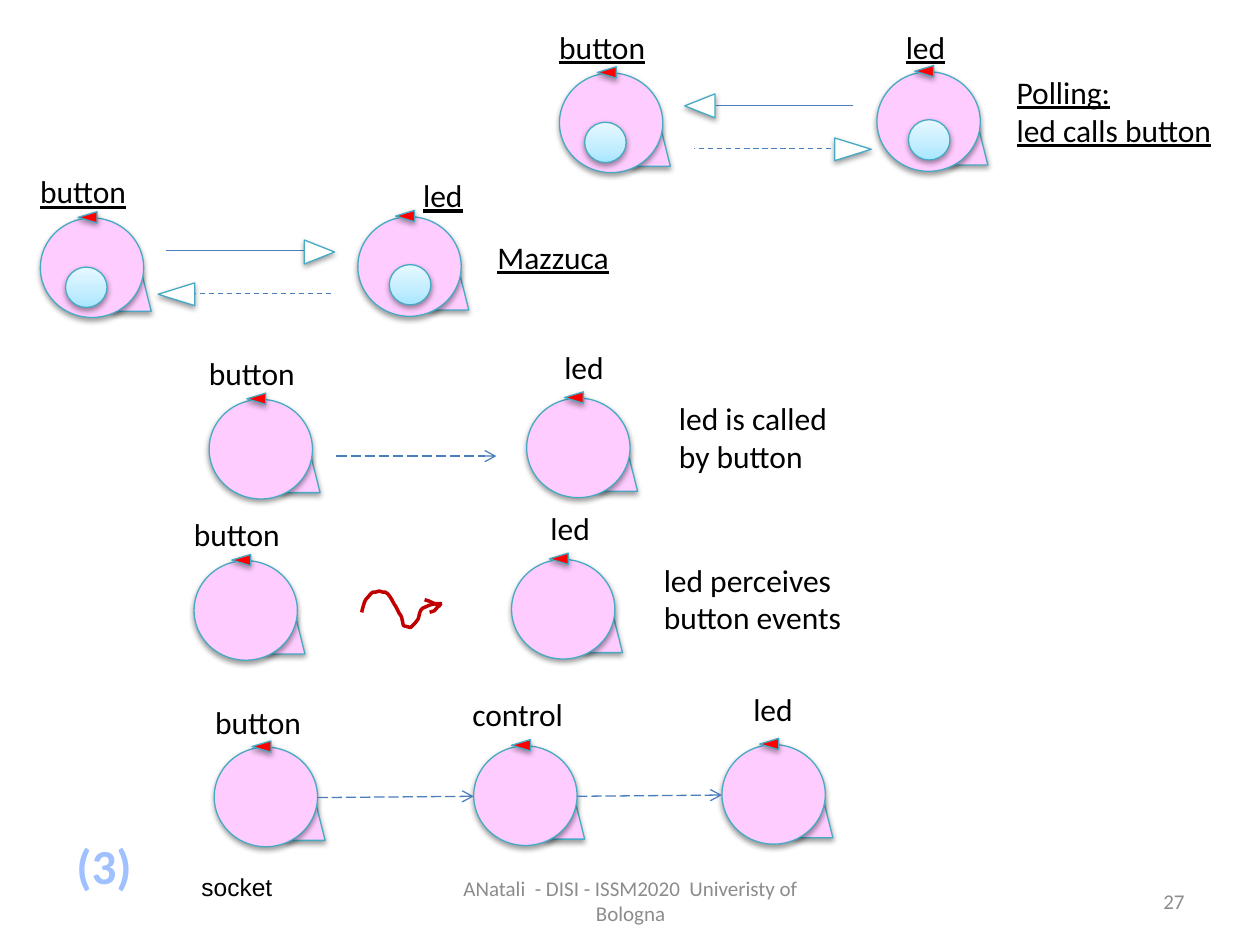
from copy import deepcopy

from lxml import etree
from pptx import Presentation
from pptx.dml.color import RGBColor
from pptx.enum.dml import MSO_LINE
from pptx.enum.shapes import MSO_CONNECTOR, MSO_SHAPE
from pptx.enum.text import MSO_ANCHOR, MSO_AUTO_SIZE, PP_ALIGN
from pptx.oxml.ns import qn
from pptx.util import Inches, Pt

OVAL = MSO_SHAPE.OVAL
TRIANGLE = MSO_SHAPE.ISOSCELES_TRIANGLE
PARALLELOGRAM = MSO_SHAPE.PARALLELOGRAM
STRAIGHT = MSO_CONNECTOR.STRAIGHT
DASH, LONG_DASH = MSO_LINE.DASH, MSO_LINE.LONG_DASH
LEFT, CENTER, RIGHT = PP_ALIGN.LEFT, PP_ALIGN.CENTER, PP_ALIGN.RIGHT
TOP, MIDDLE = MSO_ANCHOR.TOP, MSO_ANCHOR.MIDDLE
FIT, NO_FIT = MSO_AUTO_SIZE.SHAPE_TO_FIT_TEXT, MSO_AUTO_SIZE.NONE

PINK, RED, WHITE, TEAL = "FFCCFF", "FF0000", "FFFFFF", "46AAC5"
BLUE, CRIMSON, BLACK, GRAY, PALE = "4B7EBC", "C00000", "000000", "8C8C8C", "A0C1FF"
DOT_STOPS = [(0, "A7E6FF"), (0.35, "C1EDFF"), (1, "E7F8FF")]

SIGNAL_START = (2.87, 4.86)
SIGNAL_CURVES = [
    (2.88, 4.83, 2.89, 4.76, 2.92, 4.74), (2.93, 4.73, 2.94, 4.71, 2.96, 4.7),
    (2.97, 4.7, 2.99, 4.7, 3.01, 4.69), (3.03, 4.7, 3.05, 4.7, 3.06, 4.7),
    (3.1, 4.72, 3.12, 4.79, 3.14, 4.81), (3.15, 4.83, 3.16, 4.85, 3.17, 4.87),
    (3.18, 4.88, 3.19, 4.9, 3.19, 4.91), (3.21, 4.98, 3.18, 4.96, 3.26, 4.98),
    (3.3, 4.94, 3.3, 4.94, 3.32, 4.91), (3.33, 4.88, 3.33, 4.83, 3.37, 4.82),
    (3.43, 4.79, 3.46, 4.79, 3.51, 4.79),
]
SIGNAL_BARBS = [
    ((3.5, 4.81), (3.39, 4.77, 3.44, 4.78, 3.37, 4.76)),
    ((3.5, 4.79), (3.43, 4.86, 3.47, 4.84, 3.41, 4.86)),
]


def color(value):
    """Turn a hex string into a colour."""
    return RGBColor.from_string(value)


def curve_points(start, curves, steps=6):
    """Sample a chain of cubic curves into points."""
    points = [start]
    for x1, y1, x2, y2, x3, y3 in curves:
        x0, y0 = points[-1]
        for step in range(1, steps + 1):
            t = step / steps
            weights = (1 - t) ** 3, 3 * t * (1 - t) ** 2, 3 * t * t * (1 - t), t ** 3
            points.append(tuple(sum(w * v for w, v in zip(weights, values))
                                for values in ((x0, x1, x2, x3), (y0, y1, y2, y3))))
    return points


class Diagram:
    """Hold the style and the current slide."""

    def __init__(self, slide):
        """Start on a slide."""
        self.slide = slide
        self.font = {"name": "Calibri", "size": Pt(18), "bold": False, "underline": False}

    def text(self, x, y, width, height, content, ink=BLACK, align=LEFT, anchor=TOP,
             wrap=False, **font):
        """Add a text box with one paragraph per line."""
        frame = self.slide.shapes.add_textbox(*map(Inches, (x, y, width, height))).text_frame
        layout = {"word_wrap": wrap, "auto_size": NO_FIT if wrap else FIT,
                  "vertical_anchor": anchor, "text": content}
        for name, value in layout.items():
            setattr(frame, name, value)
        for paragraph in frame.paragraphs:
            paragraph.alignment = align
            paragraph.font.color.rgb = color(ink)
            for name, value in (self.font | font).items():
                setattr(paragraph.font, name, value)

    def shape(self, shapes, kind, x, y, width, height, fill, rotation=0):
        """Add an outlined preset shape with a soft shadow."""
        shape = shapes.add_shape(kind, *map(Inches, (x, y, width, height)))
        shape.rotation = rotation
        shape.fill.solid()
        shape.fill.fore_color.rgb = color(fill)
        shape.line.color.rgb = color(TEAL)
        shape.line.width = Pt(0.75)
        shape.shadow.inherit = False
        shadow = etree.SubElement(shape.element.spPr.find(qn("a:effectLst")), qn("a:outerShdw"),
                                  blurRad="40000", dist="20000", dir="5400000", rotWithShape="0")
        black = etree.SubElement(shadow, qn("a:srgbClr"), val=BLACK)
        etree.SubElement(black, qn("a:alpha"), val="38000")
        return shape

    def agent(self, x, y):
        """Add a pink agent with its tail and red marker."""
        shapes = self.slide.shapes.add_group_shape().shapes
        tail = self.shape(shapes, PARALLELOGRAM, x + 0.49, y + 0.42, 0.39, 0.32, PINK)
        tail.element.spPr.get_or_add_xfrm().set("flipV", "1")
        self.shape(shapes, OVAL, x, y, 0.82, 0.79, PINK)
        self.shape(shapes, TRIANGLE, x + 0.33, y - 0.08, 0.09, 0.15, RED, 270)

    def dot(self, x, y):
        """Add a light blue graded dot."""
        fill = self.shape(self.slide.shapes, OVAL, x, y, 0.33, 0.32, WHITE).fill
        fill.gradient()
        fill.gradient_angle = 90
        stops = self.slide.shapes[-1].element.spPr.find(".//" + qn("a:gsLst"))
        stops.insert(1, deepcopy(stops[0]))
        for stop, (position, value) in zip(fill.gradient_stops, DOT_STOPS):
            stop.color.rgb = color(value)
            stop.position = position

    def line(self, shapes, start, end, dash=None, arrow=False):
        """Add a thin blue line, with an open arrowhead if asked."""
        connector = shapes.add_connector(STRAIGHT, *map(Inches, start + end))
        connector.line.color.rgb = color(BLUE)
        connector.line.width = Pt(0.75)
        if dash:
            connector.line.dash_style = dash
        if arrow:
            etree.SubElement(connector.line._get_or_add_ln(), qn("a:tailEnd"), type="arrow")
        etree.SubElement(connector.element.spPr, qn("a:effectLst"))

    def call(self, start, end, head, rotation, dash=None):
        """Add a line with a white triangle as its head."""
        shapes = self.slide.shapes.add_group_shape().shapes
        self.line(shapes, start, end, dash)
        self.shape(shapes, TRIANGLE, *head, WHITE, rotation)

    def stroke(self, points):
        """Add a thick open outline through the points."""
        first, *rest = [tuple(map(Inches, point)) for point in points]
        builder = self.slide.shapes.build_freeform(*first)
        builder.add_line_segments(rest, close=False)
        shape = builder.convert_to_shape()
        shape.fill.background()
        shape.line.color.rgb = color(CRIMSON)
        shape.line.width = Pt(2)
        shape.shadow.inherit = False

    def scene(self, x, y, led_label, note, note_size, note_drop=-0.05, busy=False):
        """Add a button and a led with their labels and a note."""
        led_x, led_y = x + 2.52, y - 0.01
        self.agent(x, y)
        self.agent(led_x, led_y)
        self.text(x - 0.1, y - 0.41, 0.9, 0.4, "button", underline=busy)
        self.text(*led_label, 0.52, 0.4, "led", underline=busy)
        self.text(x + 3.63 - 0.1 * busy, y + note_drop, *note_size, note, underline=busy)
        if busy:
            self.dot(x + 0.2, y + 0.39)
            self.dot(led_x + 0.25, led_y + 0.38)


def main():
    """Build the slide and save it."""
    presentation = Presentation()
    presentation.slide_width, presentation.slide_height = Inches(10), Inches(7.5)
    diagram = Diagram(presentation.slides.add_slide(presentation.slide_layouts[6]))
    shapes = diagram.slide.shapes

    footer = {"ink": GRAY, "anchor": MIDDLE, "wrap": True, "size": Pt(12)}
    diagram.text(3.42, 6.95, 3.17, 0.4, "ANatali  - DISI - ISSM2020  Univeristy of Bologna",
                 align=CENTER, **footer)
    diagram.text(7.17, 6.95, 2.33, 0.4, "27", align=RIGHT, **footer)
    diagram.text(0.5, 6.58, 0.65, 0.57, "(3)", PALE, CENTER, size=Pt(28), bold=True)
    diagram.text(1.5, 6.87, 0.77, 0.34, "socket", name="Arial", size=Pt(14))

    diagram.scene(1.66, 3.17, (4.38, 2.71), "led is called\nby button", (1.39, 0.71))
    diagram.line(shapes, (2.67, 3.62), (3.94, 3.62), LONG_DASH, True)

    diagram.scene(1.54, 4.45, (4.27, 3.99), "led perceives\nbutton events", (1.63, 0.71))
    diagram.stroke(curve_points(SIGNAL_START, SIGNAL_CURVES))
    for start, curve in SIGNAL_BARBS:
        diagram.stroke(curve_points(start, [curve]))

    chain = [(1.7, 5.93, "button", 1.61, 5.53, 0.9), (3.76, 5.92, "control", 3.65, 5.47, 0.93),
             (5.73, 5.91, "led", 5.88, 5.43, 0.52)]
    for x, y, label, label_x, label_y, width in chain:
        diagram.agent(x, y)
        diagram.text(label_x, label_y, width, 0.4, label)
    for (x, y, *_), (next_x, next_y, *_) in zip(chain, chain[1:]):
        diagram.line(shapes, (x + 0.82, y + 0.4), (next_x, next_y + 0.4), LONG_DASH, True)

    diagram.scene(4.44, 0.58, (7.09, 0.17), "Polling:\nled calls button", (1.77, 0.71), busy=True)
    diagram.call((6.77, 0.84), (5.68, 0.84), (5.46, 0.72, 0.19, 0.24), 270)
    diagram.call((6.88, 1.18), (5.51, 1.18), (6.68, 1.04, 0.18, 0.29), 90, DASH)

    diagram.scene(0.32, 1.73, (3.26, 1.35), "Mazzuca", (1.1, 0.4), 0.11, True)
    diagram.call((1.32, 1.99), (2.42, 1.99), (2.44, 1.88, 0.19, 0.24), 90)
    diagram.call((1.3, 2.33), (2.66, 2.33), (1.31, 2.19, 0.18, 0.29), 270, DASH)

    presentation.save("out.pptx")


if __name__ == "__main__":
    main()
